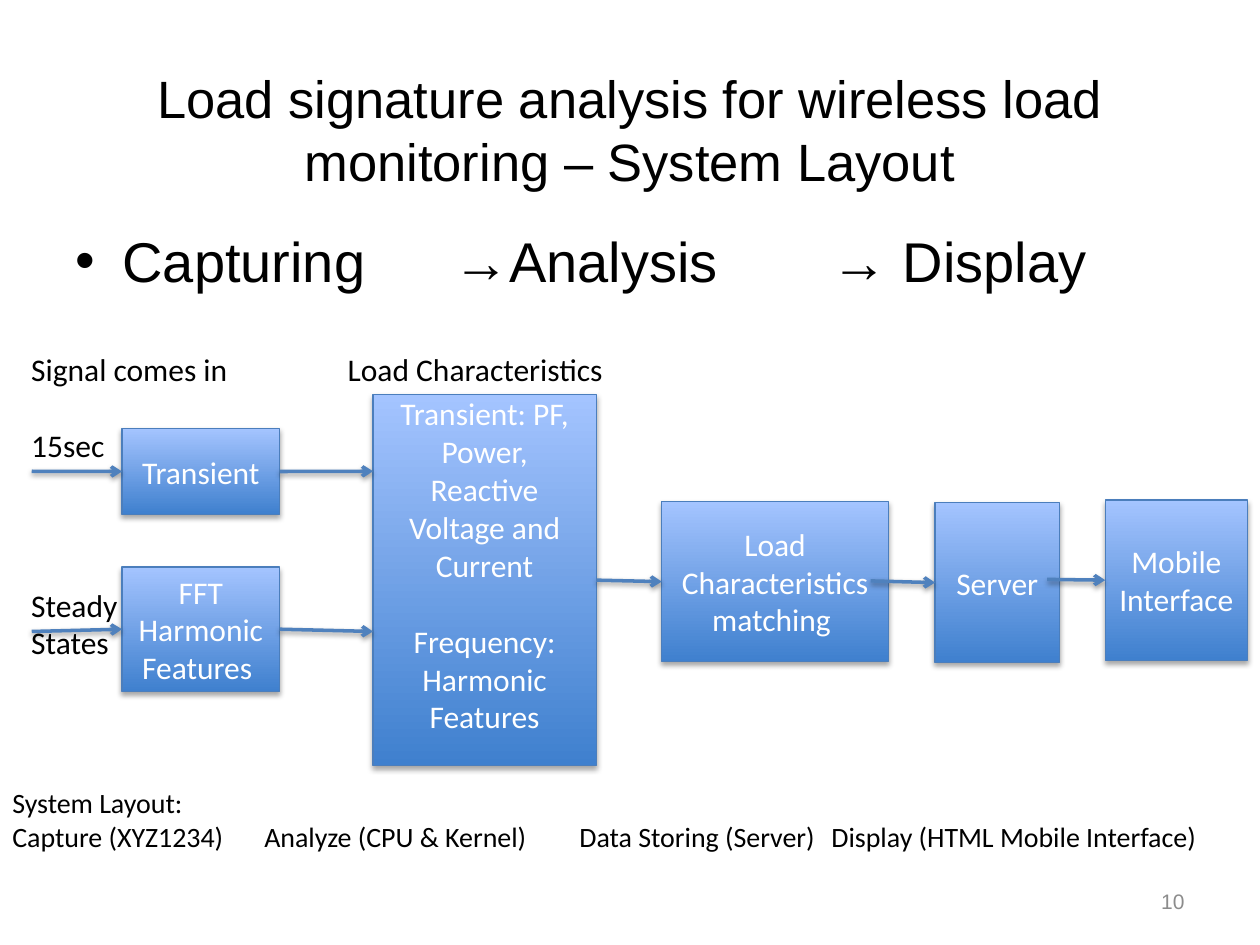
import lxml.etree
import pptx
import pptx.dml.color
import pptx.enum.shapes
import pptx.enum.text
import pptx.oxml.ns
import pptx.util
from dataclasses import dataclass

Cm, Pt = pptx.util.Cm, pptx.util.Pt
ALIGN = pptx.enum.text.PP_ALIGN
ANCHOR = pptx.enum.text.MSO_ANCHOR
LEFT, RIGHT = 1, 3  # connection sites of a rectangle


@dataclass(frozen=True)
class Theme:
    head_font: str = "Arial"
    font: str = "Calibri"
    black: str = "000000"
    white: str = "FFFFFF"
    grey: str = "8C8C8C"
    box_bottom: str = "3F80CE"
    box_top: str = "A4C4FF"
    box_line: str = "4B7EBC"
    arrow: str = "4F81BD"
    title: int = 30
    body: int = 32
    label: int = 18
    footer: int = 16
    number: int = 12


def rgb(value):
    return pptx.dml.color.RGBColor.from_string(value)


def child(parent, tag, **attrs):
    e = lxml.etree.SubElement(parent, pptx.oxml.ns.qn(tag))
    for name, value in attrs.items():
        e.set(name, str(value))
    return e


class Deck:
    def __init__(self, theme):
        self.t = theme
        self.prs = pptx.Presentation()
        self.prs.slide_width, self.prs.slide_height = Cm(25.4), Cm(19.05)
        self.s = self.prs.slides.add_slide(self.prs.slide_layouts[6])

    def add_lines(self, tf, lines, size, font, color, align=ALIGN.LEFT):
        for i, line in enumerate(lines):
            p = tf.add_paragraph() if i else tf.paragraphs[0]
            p.alignment = align
            r = p.add_run()
            r.text = line
            r.font.size, r.font.name = Pt(size), font
            r.font.color.rgb = rgb(color)

    def shadow(self, effects, alpha, dist):
        sh = child(effects, "a:outerShdw", blurRad=Pt(3.1), dist=Pt(dist),
                   dir=90 * 60000, rotWithShape=0)
        clr = child(sh, "a:srgbClr", val=self.t.black)
        child(clr, "a:alpha", val=alpha * 1000)

    def text(self, x, y, w, h, lines, size, font=None, color=None,
             align=ALIGN.LEFT, anchor=ANCHOR.TOP, wrap=True):
        sp = self.s.shapes.add_textbox(Cm(x), Cm(y), Cm(w), Cm(h))
        tf = sp.text_frame
        tf.word_wrap, tf.vertical_anchor = wrap, anchor
        if not wrap:
            tf.auto_size = pptx.enum.text.MSO_AUTO_SIZE.SHAPE_TO_FIT_TEXT
        self.add_lines(tf, lines, size, font or self.t.font,
                       color or self.t.black, align)
        return sp

    def bullet(self, p, indent, before):
        p.space_before = Pt(before)
        pPr = p._p.get_or_add_pPr()
        pPr.set("marL", str(Cm(indent)))
        pPr.set("indent", str(-Cm(indent)))
        child(pPr, "a:buFont", typeface=self.t.head_font)
        child(pPr, "a:buChar", char="•")

    def box(self, x, y, w, h, *lines):
        sp = self.s.shapes.add_shape(
            pptx.enum.shapes.MSO_SHAPE.RECTANGLE, Cm(x), Cm(y), Cm(w), Cm(h))
        sp.fill.gradient()
        sp.fill.gradient_angle = 90
        for stop, color in zip(sp.fill.gradient_stops,
                               (self.t.box_bottom, self.t.box_top)):
            stop.color.rgb = rgb(color)
        sp.line.color.rgb, sp.line.width = rgb(self.t.box_line), Pt(0.75)
        sp.shadow.inherit = False
        self.shadow(sp._element.spPr.find(pptx.oxml.ns.qn("a:effectLst")), 35, 1.8)
        tf = sp.text_frame
        tf.word_wrap, tf.vertical_anchor = True, ANCHOR.MIDDLE
        self.add_lines(tf, lines, self.t.label, self.t.font, self.t.white, ALIGN.CENTER)
        return sp

    def arrow(self, start, end, source=None, target=None):
        c = self.s.shapes.add_connector(
            pptx.enum.shapes.MSO_CONNECTOR.STRAIGHT, *map(Cm, start + end))
        if source is not None:
            c.begin_connect(source, RIGHT)
        if target is not None:
            c.end_connect(target, LEFT)
        c.line.color.rgb, c.line.width = rgb(self.t.arrow), Pt(2)
        spPr = c._element.spPr
        child(spPr.get_or_add_ln(), "a:tailEnd", type="arrow")
        self.shadow(child(spPr, "a:effectLst"), 38, 1.6)


def main():
    t = Theme()
    d = Deck(t)

    # Title, stage line and page number
    d.text(1.27, 1.02, 22.86, 3.18,
           ["Load signature analysis for wireless load monitoring – System Layout"],
           t.title, t.head_font, align=ALIGN.CENTER, anchor=ANCHOR.MIDDLE)
    stages = d.text(1.27, 4.45, 22.86, 12.57,
                    ["Capturing \t\t→Analysis \t\t→ Display"], t.body, t.head_font)
    d.bullet(stages.text_frame.paragraphs[0], 0.95, 6.4)
    d.text(18.21, 17.65, 5.92, 1.02, ["10"], t.number, t.head_font, t.grey,
           ALIGN.RIGHT, ANCHOR.MIDDLE)

    # Signal capture
    transient = d.box(2.46, 8.64, 3.18, 1.73, "Transient")
    fft = d.box(2.46, 11.43, 3.18, 2.51, "FFT", "Harmonic Features ")
    d.arrow((0.64, 9.5), (2.46, 9.5), target=transient)
    d.arrow((0.64, 12.73), (2.46, 12.68), target=fft)

    # Load characteristics: text starts at the top edge, two blocks one line apart
    features = d.box(7.52, 7.95, 4.5, 7.49,
                     "Transient: PF, Power, Reactive Voltage and Current",
                     "Frequency: Harmonic Features")
    tf = features.text_frame
    tf.vertical_anchor, tf.margin_top = ANCHOR.TOP, 0
    tf.paragraphs[1].space_before = Pt(22)
    d.arrow((5.64, 9.5), (7.52, 9.5), source=transient)
    d.arrow((5.64, 12.68), (7.52, 12.73), source=fft)

    # Labels
    for x, y, w, h, *lines in (
            (6.76, 6.93, 5.74, 1.02, "Load Characteristics"),
            (0.38, 8.46, 2.01, 1.02, "15sec"),
            (0.38, 11.68, 2.29, 1.8, "Steady", "States"),
            (0.38, 6.93, 4.52, 1.02, "Signal comes in")):
        d.text(x, y, w, h, lines, t.label, wrap=False)

    # Matching, server and display
    matching = d.box(13.34, 10.11, 4.57, 3.23, "Load Characteristics matching ")
    server = d.box(18.85, 10.13, 2.51, 3.23, "Server")
    d.arrow((12.02, 11.68), (13.34, 11.68), features, matching)
    d.arrow((17.55, 11.71), (18.85, 11.73), target=server)
    mobile = d.box(22.28, 10.08, 2.87, 3.23, "Mobile Interface")
    d.arrow((21.11, 11.68), (22.28, 11.73), target=mobile)

    # Layout summary
    d.text(0, 15.72, 24.66, 2.31,
           ["System Layout:",
            "Capture (XYZ1234)\tAnalyze (CPU & Kernel)\tData Storing (Server)"
            "\tDisplay (HTML Mobile Interface)"],
           t.footer, wrap=False)

    d.prs.save("out.pptx")


if __name__ == "__main__":
    main()
